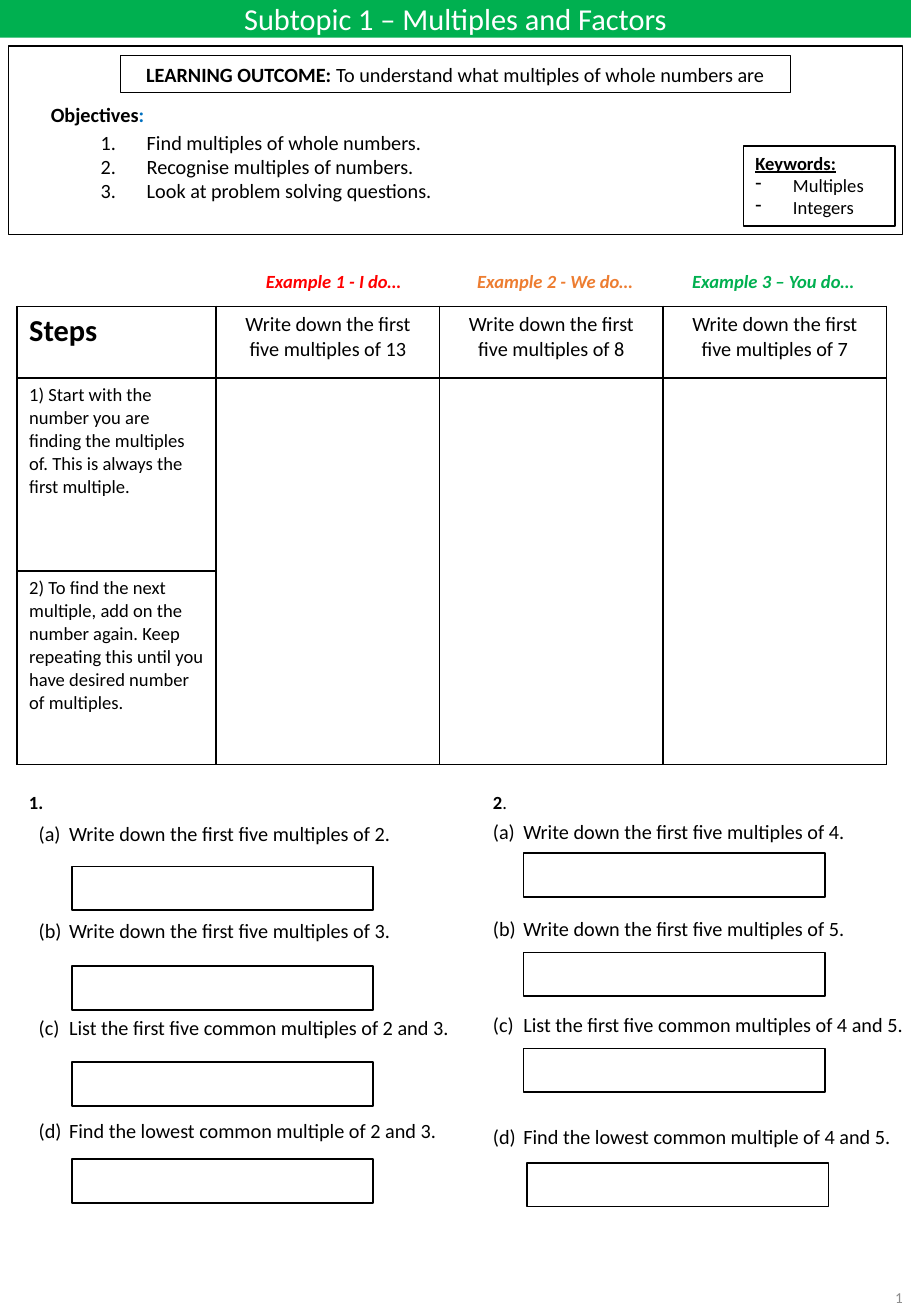
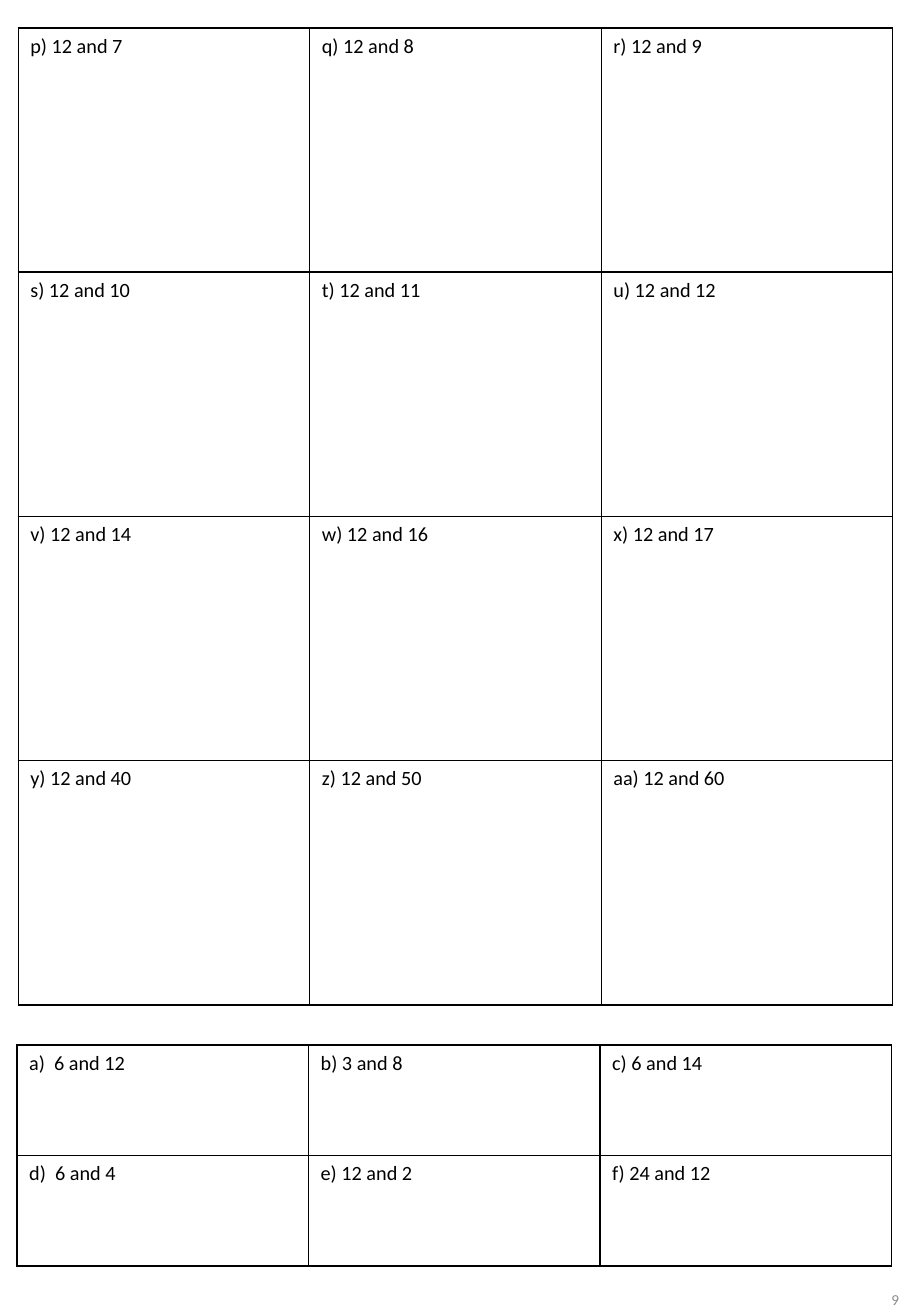
import pptx
import pptx.dml.color
import pptx.enum.shapes
import pptx.enum.text
import pptx.oxml.ns
import pptx.util
from lxml import etree

Inches = pptx.util.Inches
Pt = pptx.util.Pt
RGBColor = pptx.dml.color.RGBColor
ALIGN = pptx.enum.text.PP_ALIGN
ANCHOR = pptx.enum.text.MSO_ANCHOR

BLACK = RGBColor(0x00, 0x00, 0x00)
WHITE = RGBColor(0xFF, 0xFF, 0xFF)
GREEN = RGBColor(0x00, 0xB0, 0x50)
BLUE = RGBColor(0x00, 0x70, 0xC0)
RED = RGBColor(0xFF, 0x00, 0x00)
ORANGE = RGBColor(0xED, 0x7D, 0x31)
GREY = RGBColor(0x8C, 0x8C, 0x8C)

FONT = "Calibri"
PAGE_WIDTH, PAGE_HEIGHT = 7.5, 10.83


def sub(parent, name, **attributes):
    return etree.SubElement(parent, pptx.oxml.ns.qn(name), **attributes)


def set_bullet(para, bullet, hang):
    """Give a hanging dash, or numbering when the bullet names a numbering type."""
    properties = para._p.get_or_add_pPr()
    properties.set("marL", str(Inches(hang)))
    properties.set("indent", str(-Inches(hang)))
    if bullet == "-":
        sub(properties, "a:buChar", char=bullet)
    else:
        sub(properties, "a:buAutoNum", type=bullet)


def write_text(frame, lines, size=12, color=BLACK, bold=False, italic=False,
               underline=False, align=ALIGN.LEFT, bullet=None, hang=0, gaps=()):
    """Append paragraphs; a line is a string or a list of (text, changes) spans."""
    for index, line in enumerate(lines):
        para = frame.add_paragraph() if frame.text else frame.paragraphs[0]
        if bullet:
            set_bullet(para, bullet, hang)
        para.alignment = align
        if index and gaps:
            para.space_before = Pt(gaps[index - 1])
        for text, changes in [(line, {})] if isinstance(line, str) else line:
            span = para.add_run()
            span.text = text
            span.font.name = FONT
            span.font.size = Pt(size)
            span.font.bold = changes.get("bold", bold)
            span.font.italic = italic
            span.font.underline = underline
            span.font.color.rgb = changes.get("color", color)


def add_text(page, left, top, width, height, lines, wrap=True,
             anchor=ANCHOR.TOP, **text_format):
    box = page.shapes.add_textbox(Inches(left), Inches(top), Inches(width), Inches(height))
    box.text_frame.word_wrap = wrap
    box.text_frame.vertical_anchor = anchor
    write_text(box.text_frame, lines, **text_format)
    return box


def add_frame(page, left, top, width, height, weight=1):
    """Draw an unfilled rectangle with a black outline."""
    frame = page.shapes.add_shape(pptx.enum.shapes.MSO_SHAPE.RECTANGLE, Inches(left),
                                  Inches(top), Inches(width), Inches(height))
    frame.shadow.inherit = False
    frame.fill.background()
    frame.line.color.rgb = BLACK
    frame.line.width = Pt(weight)
    frame.text_frame.vertical_anchor = ANCHOR.TOP
    return frame


def add_grid(page, left, top, widths, heights):
    """Add an unfilled table whose cells all have black borders."""
    grid = page.shapes.add_table(len(heights), len(widths), Inches(left), Inches(top),
                                 Inches(sum(widths)), Inches(sum(heights))).table
    grid.first_row = grid.horz_banding = False
    for column, width in zip(grid.columns, widths):
        column.width = Inches(width)
    for row, height in zip(grid.rows, heights):
        row.height = Inches(height)
    for cell in grid.iter_cells():
        properties = cell._tc.get_or_add_tcPr()
        for side in ("a:lnL", "a:lnR", "a:lnT", "a:lnB"):
            border = sub(properties, side, w=str(Pt(1)))
            sub(sub(border, "a:solidFill"), "a:srgbClr", val=str(BLACK))
        cell.fill.background()
    return grid


def add_page_number(page, left, top, number):
    add_text(page, left, top, 1.69, 0.58, [number], size=9, color=GREY,
             align=ALIGN.RIGHT, anchor=ANCHOR.MIDDLE)


def add_title(page, text):
    title = page.shapes.title
    title.left, title.top = 0, 0
    title.width, title.height = Inches(PAGE_WIDTH), Inches(0.31)
    title.fill.solid()
    title.fill.fore_color.rgb = GREEN
    frame = title.text_frame
    frame.auto_size = pptx.enum.text.MSO_AUTO_SIZE.NONE
    frame.vertical_anchor = ANCHOR.MIDDLE
    write_text(frame, [text], size=18, color=WHITE, align=ALIGN.CENTER)


def add_outcome_panel(page, left, top):
    add_frame(page, left, top, 7.36, 1.55)
    outcome = add_frame(page, left + 0.92, top + 0.08, 5.52, 0.3, weight=0.75)
    write_text(outcome.text_frame, [[
        ("LEARNING OUTCOME:", {"bold": True}),
        (" To understand what multiples of whole numbers are", {})]], align=ALIGN.CENTER)
    add_text(page, left + 0.25, top + 0.41, 1.26, 0.3,
             [[("Objectives", {}), (":", {"color": BLUE})]], bold=True)
    add_text(page, left + 0.66, top + 0.64, 5.53, 0.71,
             ["Find multiples of whole numbers.",
              "Recognise multiples of numbers.",
              "Look at problem solving questions."],
             bullet="arabicPeriod", hang=0.38)
    keywords = add_frame(page, left + 6.05, top + 0.82, 1.25, 0.66).text_frame
    write_text(keywords, ["Keywords:"], size=11, bold=True, underline=True)
    write_text(keywords, ["Multiples", "Integers"], size=11, bullet="-", hang=0.31)


def add_examples(page, left, top):
    """Add the example headings and the table of steps below them."""
    headings = [("Example 1 - I do…", RED, 1.95, 1.33),
                ("Example 2 - We do…", ORANGE, 3.69, 1.5),
                ("Example 3 – You do…", GREEN, 5.46, 1.56)]
    for text, color, offset, width in headings:
        add_text(page, left + offset, top, width, 0.29, [text], wrap=False,
                 size=11, color=color, bold=True, italic=True)

    grid = add_grid(page, left, top + 0.35, [1.64] + [1.84] * 3, [0.59, 1.59, 1.59])
    write_text(grid.cell(0, 0).text_frame, ["Steps"], size=18, bold=True)
    for column, number in enumerate((13, 8, 7), start=1):
        write_text(grid.cell(0, column).text_frame,
                   [f"Write down the first five multiples of {number}"], align=ALIGN.CENTER)
        grid.cell(1, column).merge(grid.cell(2, column))
    steps = ["1) Start with the number you are finding the multiples of. "
             "This is always the first multiple.",
             "2) To find the next multiple, add on the number again. "
             "Keep repeating this until you have desired number of multiples."]
    for row, step in enumerate(steps, start=1):
        write_text(grid.cell(row, 0).text_frame, [step], size=11)


def add_questions(page, left, top, label, numbers, text_offset, gaps, answers):
    """Add one numbered exercise; answers are the offsets of its answer boxes."""
    first, second = numbers
    add_text(page, left, top, 0.58, 0.29, [label], size=11, bold=True)
    add_text(page, left + text_offset[0], top + text_offset[1], 3.75, 2.8,
             [f"Write down the first five multiples of {first}.",
              f"Write down the first five multiples of {second}.",
              f"List the first five common multiples of {first} and {second}.",
              f"Find the lowest common multiple of {first} and {second}."],
             bullet="alphaLcParenBoth", hang=0.25, gaps=gaps)
    for across, down in answers:
        add_frame(page, left + across, top + down, 2.48, 0.36)


def add_exercise_grid(page, left, top, row_height, rows):
    grid = add_grid(page, left, top, [2.4] * 3, [row_height] * len(rows))
    for row, texts in enumerate(rows):
        for column, text in enumerate(texts):
            write_text(grid.cell(row, column).text_frame, [text])


def build_lesson_page(deck):
    page = deck.slides.add_slide(deck.slide_layouts[5])
    add_title(page, "Subtopic 1 – Multiples and Factors")
    add_outcome_panel(page, 0.07, 0.38)
    add_examples(page, 0.14, 2.17)
    add_questions(page, 0.14, 6.46, "1.", (2, 3), (0.08, 0.25), (43, 43, 47),
                  [(0.45, 0.67), (0.45, 1.49), (0.45, 2.28), (0.45, 3.08)])
    add_questions(page, 3.96, 6.46, [("2", {}), (".", {"bold": False})], (4, 5),
                  (0, 0.23), (43, 43, 52),
                  [(0.35, 0.56), (0.35, 1.38), (0.35, 2.17), (0.38, 3.11)])
    add_page_number(page, 5.84, 10.39, "1")


def build_practice_page(deck):
    page = deck.slides.add_slide(deck.slide_layouts[6])
    add_exercise_grid(page, 0.15, 0.23, 2.01, [
        ("p) 12 and 7", "q) 12 and 8", "r) 12 and 9"),
        ("s) 12 and 10", "t) 12 and 11", "u) 12 and 12"),
        ("v) 12 and 14", "w) 12 and 16", "x) 12 and 17"),
        ("y) 12 and 40", "z) 12 and 50", "aa) 12 and 60")])
    add_exercise_grid(page, 0.14, 8.6, 0.91, [
        ("a)  6 and 12", "b) 3 and 8", "c) 6 and 14"),
        ("d)  6 and 4", "e) 12 and 2", "f) 24 and 12")])
    add_page_number(page, 5.81, 10.4, "9")


def main():
    deck = pptx.Presentation()
    deck.slide_width = Inches(PAGE_WIDTH)
    deck.slide_height = Inches(PAGE_HEIGHT)
    build_lesson_page(deck)
    build_practice_page(deck)
    deck.save("out.pptx")


if __name__ == "__main__":
    main()
